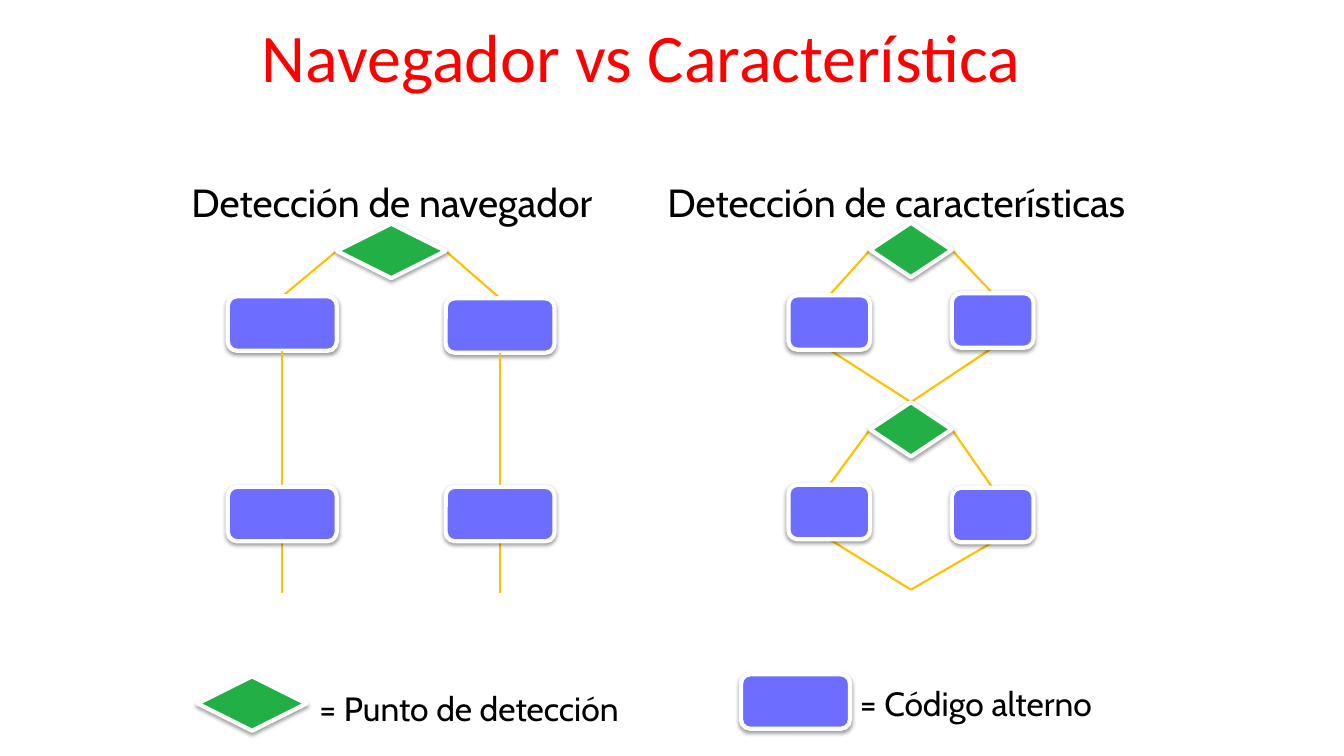
from lxml.etree import SubElement
from pptx import Presentation
from pptx.dml.color import RGBColor
from pptx.enum.shapes import MSO_CONNECTOR, MSO_SHAPE
from pptx.enum.text import MSO_ANCHOR, MSO_AUTO_SIZE, PP_ALIGN
from pptx.oxml.ns import qn
from pptx.util import Inches, Pt

COLORS = {
    "title": "FF0000",
    "text": "000000",
    "detection": "21AF46",
    "code": "6D6DFF",
    "outline": "FFFFFF",
    "path": "FFC000",
    "shadow": "000000",
}
NODE_HEIGHT = 0.54
WIDE, NARROW = 1.08, 0.81


def color(name):
    return RGBColor.from_string(COLORS[name])


class FlowSlide:
    """Draws into the slide, or into the group opened last."""

    def __init__(self, presentation):
        self.slide = presentation.slides.add_slide(presentation.slide_layouts[6])
        self.shapes = self.slide.shapes

    def open_group(self):
        self.shapes = self.slide.shapes.add_group_shape().shapes

    def text(self, left, top, width, height, content, size, font="Cabin",
             color_name="text", align=PP_ALIGN.LEFT):
        box = self.shapes.add_textbox(*map(Inches, (left, top, width, height)))
        frame = box.text_frame
        frame.word_wrap = False
        frame.auto_size = MSO_AUTO_SIZE.SHAPE_TO_FIT_TEXT
        paragraph = frame.paragraphs[0]
        paragraph.alignment = align
        run = paragraph.add_run()
        run.text = content
        run.font.size = Pt(size)
        run.font.name = font
        run.font.color.rgb = color(color_name)
        return frame

    def node(self, preset, fill, left, top, width):
        shape = self.shapes.add_shape(
            preset, *map(Inches, (left, top, width, NODE_HEIGHT)))
        shape.fill.solid()
        shape.fill.fore_color.rgb = color(fill)
        shape.line.color.rgb = color("outline")
        shape.line.width = Pt(3)
        self.drop_shadow(shape)

    def drop_shadow(self, shape):
        shape.shadow.inherit = False
        effects = shape._element.spPr.find(qn("a:effectLst"))
        shadow = SubElement(effects, qn("a:outerShdw"), blurRad=str(Pt(3.1)),
                            dist=str(Pt(1.6)), dir="5400000", rotWithShape="0")
        shade = SubElement(shadow, qn("a:srgbClr"), val=COLORS["shadow"])
        SubElement(shade, qn("a:alpha"), val="38000")

    def detection(self, left, top, width):
        self.node(MSO_SHAPE.FLOWCHART_DECISION, "detection", left, top, width)

    def code(self, left, top, width):
        self.node(MSO_SHAPE.FLOWCHART_ALTERNATE_PROCESS, "code", left, top, width)

    def line(self, start, end):
        connector = self.shapes.add_connector(
            MSO_CONNECTOR.STRAIGHT, *map(Inches, start + end))
        connector.line.color.rgb = color("path")
        connector.line.width = Pt(1.5)
        SubElement(connector._element.spPr, qn("a:effectLst"))

    def branch(self, left, top, width, code_tops):
        """A detection point with a code box below each of its sides."""
        corners = (left, left + width)
        for corner, side, code_top in zip(corners, (-1, 1), code_tops):
            center = corner + side * width / 2
            self.line((corner, top + NODE_HEIGHT / 2), (center, code_top))
            self.code(center - width / 2, code_top, width)
        self.detection(left, top, width)

    def join(self, left, width, code_tops, end_top):
        """Lines from both code boxes of a branch to one point."""
        middle = left + width / 2
        for side, code_top in zip((-1, 1), code_tops):
            self.line((middle + side * width, code_top + NODE_HEIGHT),
                      (middle, end_top))


def main():
    presentation = Presentation()
    presentation.slide_width = Inches(13.33)
    presentation.slide_height = Inches(7.5)
    slide = FlowSlide(presentation)

    title = slide.text(2.5, 0.09, 8.23, 0.91, "Navegador vs Característica",
                       48.6, "Calibri", "title")
    title.auto_size = MSO_AUTO_SIZE.NONE
    title.word_wrap = True
    title.vertical_anchor = MSO_ANCHOR.MIDDLE

    slide.detection(1.96, 6.71, WIDE)
    slide.text(3.07, 6.78, 3.38, 0.5, "= Punto de detección", 24)
    slide.code(7.35, 6.69, WIDE)
    slide.text(8.43, 6.73, 2.68, 0.5, "= Código alterno", 24)

    slide.open_group()
    slide.text(1.65, 1.72, 4.47, 0.57, "Detección de navegador", 28,
               align=PP_ALIGN.CENTER)
    browser_left, browser_tops, second_top = 3.34, (2.94, 2.96), 4.83
    slide.branch(browser_left, 2.22, WIDE, browser_tops)
    for center, top in zip((browser_left - WIDE / 2, browser_left + WIDE * 1.5),
                           browser_tops):
        slide.line((center, top + NODE_HEIGHT), (center, second_top))
        slide.line((center, second_top + NODE_HEIGHT), (center, 5.88))
        slide.code(center - WIDE / 2, second_top, WIDE)

    slide.open_group()
    slide.text(6.52, 1.72, 5.14, 0.57, "Detección de características", 28)
    feature_left = 8.63
    for top, code_tops, end_top in ((2.21, (2.93, 2.91), 3.99),
                                    (3.99, (4.81, 4.84), 5.85)):
        slide.join(feature_left, NARROW, code_tops, end_top)
        slide.branch(feature_left, top, NARROW, code_tops)

    presentation.save("out.pptx")


if __name__ == "__main__":
    main()
